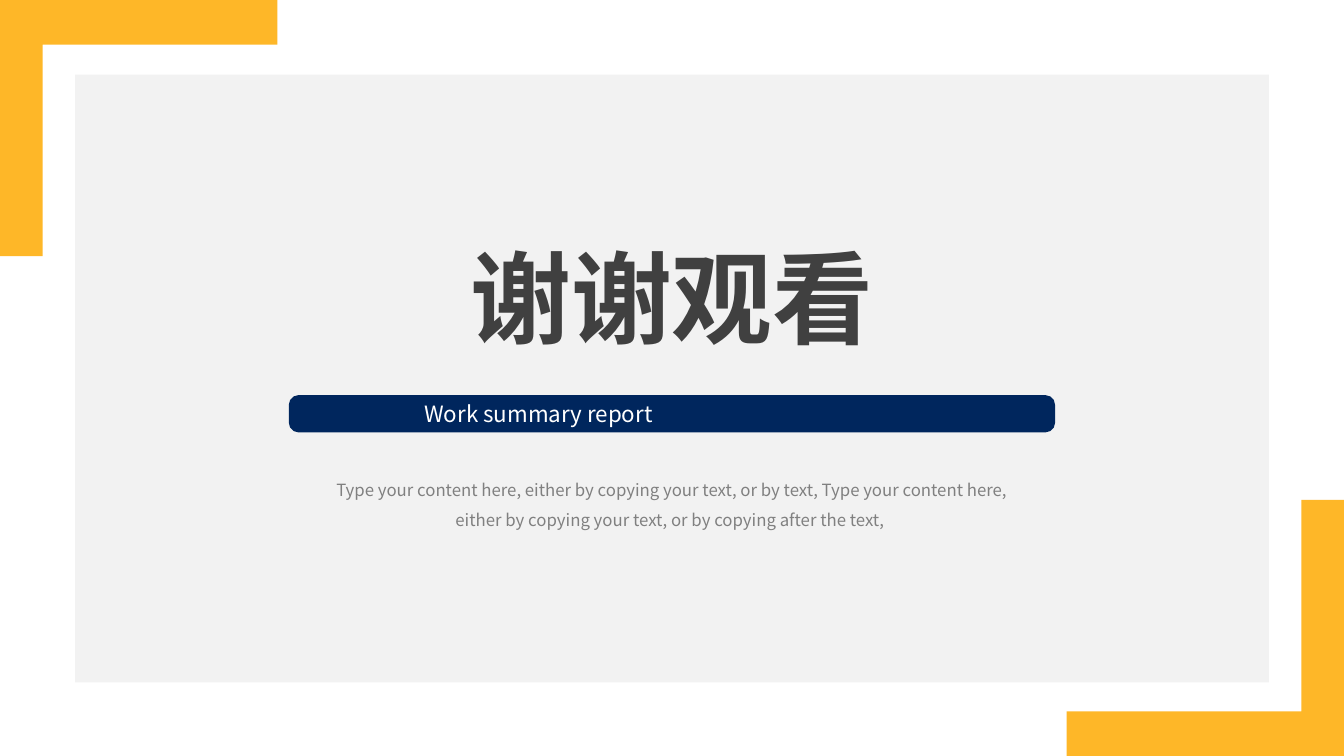
from lxml.etree import SubElement
from pptx import Presentation
from pptx.dml.color import RGBColor
from pptx.enum.shapes import MSO_SHAPE
from pptx.enum.text import MSO_ANCHOR, MSO_AUTO_SIZE, PP_ALIGN
from pptx.oxml.ns import qn
from pptx.util import Inches, Pt

WIDTH, HEIGHT = 13.33, 7.5
FONT = "Noto Sans CJK SC"
CORNER_WIDTH, CORNER_HEIGHT = 2.75, 2.54
BANNER_TOP, BANNER_HEIGHT = 3.92, 0.37

TITLE = "谢谢观看"
BANNER_TEXT = "Work summary report"
BODY = ("Type your content here, either by copying your text, or by text, "
        "Type your content here, either by copying your text, or by copying after the text, ")

CORNERS = [
    (WIDTH - CORNER_WIDTH, HEIGHT - CORNER_HEIGHT, 0),
    (0, 0, 180),
]
TITLE_FORMAT = {"size": Pt(72), "bold": True}
BODY_FORMAT = {"size": Pt(12), "bold": False}
BANNER_FORMAT = {"size": Pt(16), "bold": False}


def color(value):
    return RGBColor.from_string(value)


def centered(top, width, height):
    return (WIDTH - width) / 2, top, width, height


def place(shape, box):
    for name, value in zip(("left", "top", "width", "height"), box):
        setattr(shape, name, Inches(value))


def add_block(slide, preset, box, fill, adjustments=()):
    shape = slide.shapes.add_shape(preset, *map(Inches, box))
    shape.shadow.inherit = False
    shape.fill.solid()
    shape.fill.fore_color.rgb = color(fill)
    shape.line.fill.background()
    for index, value in enumerate(adjustments):
        shape.adjustments[index] = value
    return shape


def write(shape, box, text, text_color, font_format, alignment, spacing=1.0, inset=(0.1, 0.05)):
    place(shape, box)
    frame = shape.text_frame
    across, down = map(Inches, inset)
    frame_format = {
        "word_wrap": True, "auto_size": MSO_AUTO_SIZE.SHAPE_TO_FIT_TEXT,
        "vertical_anchor": MSO_ANCHOR.TOP, "margin_left": across,
        "margin_right": across, "margin_top": down, "margin_bottom": down,
    }
    for name, value in frame_format.items():
        setattr(frame, name, value)
    paragraph = frame.paragraphs[0]
    paragraph_format = {"alignment": alignment, "line_spacing": spacing, "space_before": Pt(0)}
    for name, value in paragraph_format.items():
        setattr(paragraph, name, value)
    run = paragraph.add_run()
    run.text = text
    for name, value in {"name": FONT, **font_format}.items():
        setattr(run.font, name, value)
    run.font.color.rgb = color(text_color)
    SubElement(run.font._element, qn("a:ea")).set("typeface", FONT)


def main():
    """Build the closing slide and save it."""
    presentation = Presentation()
    presentation.slide_width = Inches(WIDTH)
    presentation.slide_height = Inches(HEIGHT)
    slide = presentation.slides.add_slide(presentation.slide_layouts[0])
    title, body = slide.placeholders

    for left, top, rotation in CORNERS:
        corner = add_block(slide, MSO_SHAPE.CORNER, (left, top, CORNER_WIDTH, CORNER_HEIGHT),
                           "FEB728", (0.174, 0.166))
        corner.element.spPr.find(qn("a:xfrm")).set("flipH", "1")
        corner.rotation = rotation
    add_block(slide, MSO_SHAPE.RECTANGLE, centered(0.74, 11.84, 6.03), "F2F2F2")
    add_block(slide, MSO_SHAPE.ROUNDED_RECTANGLE,
              centered(BANNER_TOP, 7.6, BANNER_HEIGHT), "00265D", (0.259,))

    for placeholder in (title, body):
        slide.shapes.element.append(placeholder.element)
    write(title, centered(2.29, 10, 1.31), TITLE, "404040", TITLE_FORMAT, PP_ALIGN.CENTER)
    write(body, centered(4.66, 6.91, 0.58), BODY, "808080", BODY_FORMAT,
          PP_ALIGN.CENTER, 1.5, (0, 0))
    banner_text = slide.shapes.add_textbox(0, 0, 0, 0)
    write(banner_text, centered(BANNER_TOP, 5.11, BANNER_HEIGHT), BANNER_TEXT, "FFFFFF",
          BANNER_FORMAT, PP_ALIGN.JUSTIFY)
    presentation.save("out.pptx")


if __name__ == "__main__":
    main()
